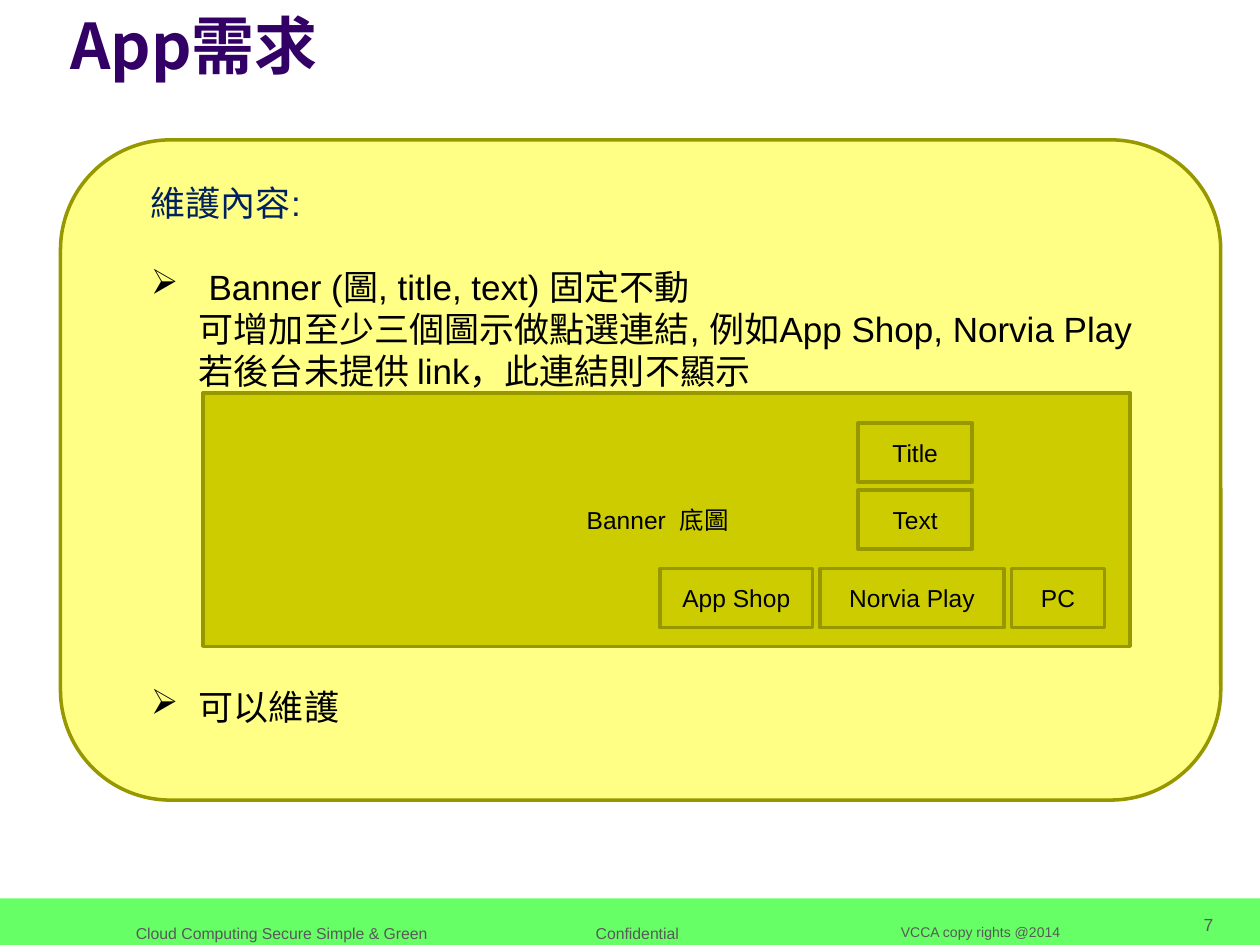
from lxml.etree import SubElement
from pptx import Presentation
from pptx.dml.color import RGBColor
from pptx.enum.shapes import MSO_SHAPE as Shape
from pptx.enum.text import MSO_ANCHOR as Anchor, PP_ALIGN as Align
from pptx.oxml.ns import qn
from pptx.util import Cm, Pt

WHITE = RGBColor(0xFF, 0xFF, 0xFF)
BLACK = RGBColor(0, 0, 0)
GREEN = RGBColor(0x66, 0xFF, 0x66)
GRAY = RGBColor(0x59, 0x59, 0x59)
PURPLE = RGBColor(0x33, 0x00, 0x66)
NAVY = RGBColor(0x00, 0x20, 0x60)
PALE_YELLOW = RGBColor(0xFF, 0xFF, 0x85)
OLIVE = RGBColor(0xCC, 0xCC, 0x00)
DARK_OLIVE = RGBColor(0x97, 0x97, 0x00)
LATIN, CJK = "Arial", "Noto Sans CJK SC"

# Boxes are left, top, width, height in cm
TITLE = ("App需求", (1.17, 0, 24, 1.96))
FOOTER_BAND = (0, 18.11, 25.4, 1.02)
FOOTERS = [  # text, box, size, alignment
    ("7", (21.74, 18.31, 2.97, 0.61), 10, Align.RIGHT),
    ("Cloud Computing Secure Simple & Green", (2.49, 18.49, 6.91, 0.64), 9, Align.LEFT),
    ("VCCA copy rights @2014", (17.91, 18.49, 4.19, 0.61), 8, Align.LEFT),
    ("Confidential", (11.76, 18.49, 2.74, 0.64), 9, Align.LEFT),
]
PANEL = (1.22, 2.82, 23.39, 13.31)
BODY = (2.79, 3.53, 21.21, 13.84)
LINE_PITCH = 24
BODY_INDENT = 0.97
REQUIREMENTS = [  # text, colour, bulleted, indented, lines skipped before
    ("維護內容:", NAVY, False, False, 0),
    (" Banner (圖, title, text) 固定不動", BLACK, True, True, 1),
    ("可增加至少三個圖示做點選連結, 例如App Shop, Norvia Play", BLACK, False, True, 0),
    ("若後台未提供 link，此連結則不顯示", BLACK, False, True, 0),
    ("可以維護", BLACK, True, True, 7),
]
BANNER = ("Banner  底圖", (4.09, 7.92, 18.69, 5.11))
BUTTON_HEIGHT = 1.19
BANNER_FIELDS = [("Title", 8.53), ("Text", 9.88)]  # text, top
FIELD_LEFT, FIELD_WIDTH = 17.3, 2.3
STORE_LINKS = [("App Shop", 3.07), ("Norvia Play", 3.71), ("PC", 1.88)]  # text, width
LINKS_LEFT, LINKS_TOP, LINK_GAP = 13.31, 11.46, 0.15


def add_run(paragraph, text, size, color, latin=LATIN, bold=False):
    run = paragraph.add_run()
    run.text = text
    font = run.font
    font.size, font.name, font.bold = Pt(size), latin, bold
    font.color.rgb = color
    SubElement(run._r.get_or_add_rPr(), qn("a:ea")).set("typeface", CJK)


def add_text(slide, box):
    frame = slide.shapes.add_textbox(*map(Cm, box)).text_frame
    frame.word_wrap = True
    return frame


def add_box(slide, box, fill, line=None, kind=Shape.RECTANGLE):
    shape = slide.shapes.add_shape(kind, *map(Cm, box))
    shape.shadow.inherit = False
    shape.fill.solid()
    shape.fill.fore_color.rgb = fill
    if line is None:
        shape.line.fill.background()
    else:
        shape.line.color.rgb = line
        shape.line.width = Pt(2)
    return shape


def add_mockup_box(slide, text, box):
    """Add one olive box of the banner mock-up with its centred label."""
    frame = add_box(slide, box, OLIVE, DARK_OLIVE).text_frame
    frame.word_wrap = True
    frame.vertical_anchor = Anchor.MIDDLE
    label = frame.paragraphs[0]
    label.alignment = Align.CENTER
    add_run(label, text, 14, BLACK)
    return frame


def add_requirements(slide):
    frame = add_text(slide, BODY)
    for i, (text, color, bulleted, indented, skipped) in enumerate(REQUIREMENTS):
        line = frame.add_paragraph() if i else frame.paragraphs[0]
        line.line_spacing = Pt(LINE_PITCH)
        line.space_before = Pt(LINE_PITCH * skipped)
        properties = line._p.get_or_add_pPr()
        if indented:
            properties.set("marL", str(Cm(BODY_INDENT)))
            properties.set("indent", str(-Cm(BODY_INDENT) if bulleted else 0))
        if bulleted:
            SubElement(properties, qn("a:buChar")).set("char", "➢")
        add_run(line, text, 20, color)


def add_banner_mockup(slide):
    banner = add_mockup_box(slide, *BANNER)
    banner.margin_right = Cm(0.6)
    for text, top in BANNER_FIELDS:
        add_mockup_box(slide, text, (FIELD_LEFT, top, FIELD_WIDTH, BUTTON_HEIGHT))
    left = LINKS_LEFT
    for text, width in STORE_LINKS:
        add_mockup_box(slide, text, (left, LINKS_TOP, width, BUTTON_HEIGHT))
        left += width + LINK_GAP


def main():
    deck = Presentation()
    deck.slide_width, deck.slide_height = Cm(25.4), Cm(19.05)
    slide = deck.slides.add_slide(deck.slide_layouts[6])
    slide.background.fill.solid()
    slide.background.fill.fore_color.rgb = WHITE

    add_box(slide, FOOTER_BAND, GREEN)
    for text, box, size, alignment in FOOTERS:
        footer = add_text(slide, box).paragraphs[0]
        footer.alignment = alignment
        add_run(footer, text, size, GRAY)

    title, title_box = TITLE
    add_run(add_text(slide, title_box).paragraphs[0], title, 36, PURPLE, CJK, True)
    add_box(slide, PANEL, PALE_YELLOW, DARK_OLIVE, Shape.ROUNDED_RECTANGLE)
    add_requirements(slide)
    add_banner_mockup(slide)
    deck.save("out.pptx")


if __name__ == "__main__":
    main()
